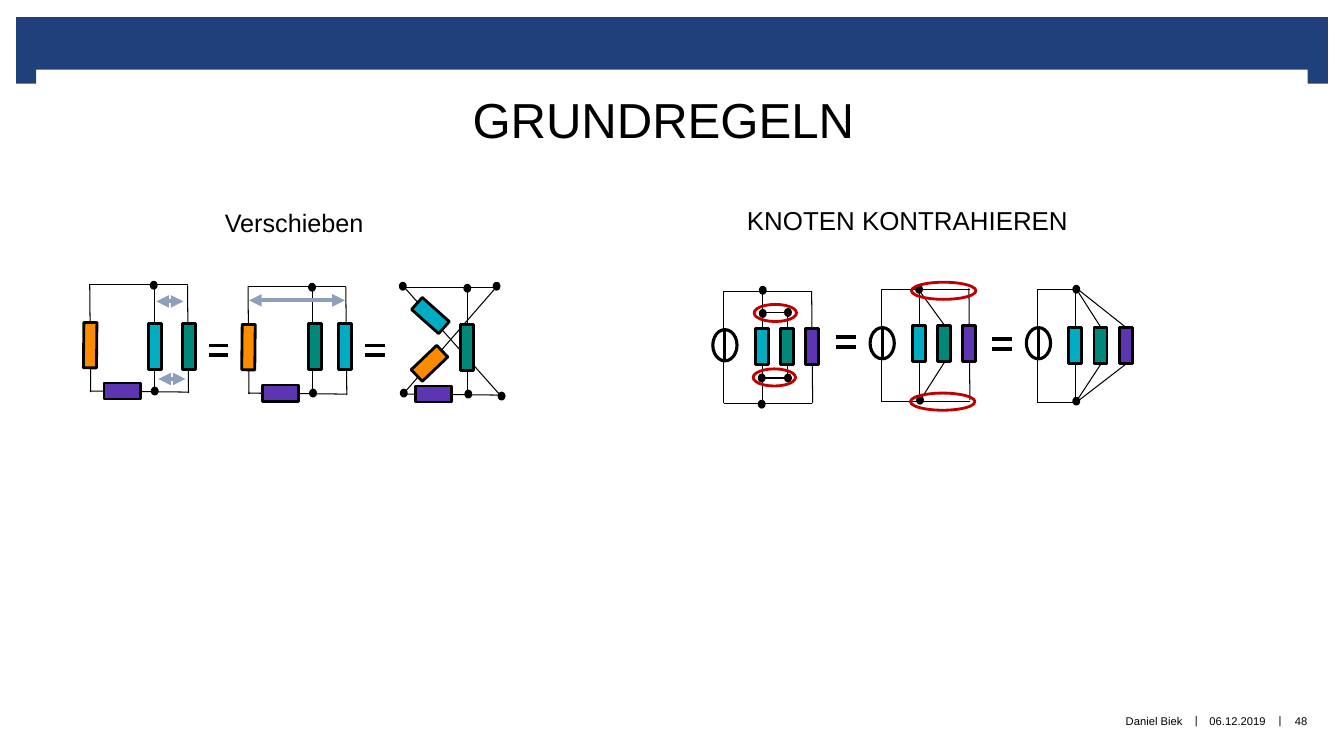
from lxml import etree
from pptx import Presentation
from pptx import util as u
from pptx.dml.color import RGBColor
from pptx.enum import shapes, text
from pptx.oxml.ns import qn

BLACK, NAVY, RED, GREY_BLUE = "000000", "1F407A", "C00000", "8E9FBB"
ORANGE, CYAN, GREEN, PURPLE = "FB8C00", "00ACC1", "00897B", "5E35B1"
PRESET = shapes.MSO_SHAPE
ALIGN, ANCHOR = text.PP_ALIGN, text.MSO_ANCHOR


def rgb(value):
    return RGBColor.from_string(value)


def add_shape(slide, preset, box, fill=None, outline=None, weight=2, turn=0):
    part = slide.shapes.add_shape(preset, *map(u.Inches, box))
    part.shadow.inherit = False
    part.rotation = turn
    if fill:
        part.fill.solid()
        part.fill.fore_color.rgb = rgb(fill)
    else:
        part.fill.background()
    if outline:
        part.line.color.rgb = rgb(outline)
        part.line.width = u.Pt(weight)
    else:
        part.line.fill.background()


def add_text(slide, words, box, size=8, align=ALIGN.CENTER, anchor=ANCHOR.MIDDLE,
             insets=(0, 0, 0, 0), wrap=False, before=0, spacing=1.0):
    label = slide.shapes.add_textbox(*map(u.Inches, box))
    frame = label.text_frame
    frame.word_wrap = wrap
    frame.vertical_anchor = anchor
    (frame.margin_left, frame.margin_top,
     frame.margin_right, frame.margin_bottom) = map(u.Inches, insets)
    line = frame.paragraphs[0]
    line.alignment = align
    line.line_spacing = spacing
    line.space_before = u.Pt(before)
    run = line.add_run()
    run.text = words
    run.font.size = u.Pt(size)
    run.font.name = "Arial"
    run.font.color.rgb = rgb(BLACK)


def add_wire(slide, x1, y1, x2, y2, color=BLACK, weight=0.75, arrows=False):
    wire = slide.shapes.add_connector(
        shapes.MSO_CONNECTOR.STRAIGHT, *map(u.Inches, (x1, y1, x2, y2)))
    wire.line.color.rgb = rgb(color)
    wire.line.width = u.Pt(weight)
    if arrows:
        outline = wire.line._get_or_add_ln()
        for end in ("a:headEnd", "a:tailEnd"):
            etree.SubElement(outline, qn(end), type="triangle")
    etree.SubElement(wire._element.spPr, qn("a:effectLst"))


def add_resistor(slide, x, y, color, width=0.13, height=0.46, turn=0):
    add_shape(slide, PRESET.RECTANGLE, (x, y, width, height), color, BLACK, turn=turn)


def add_node(slide, x, y):
    add_shape(slide, PRESET.OVAL, (x, y, 0.05, 0.06), BLACK, BLACK)


def add_equals(slide, x, y, width=0.31, height=0.28):
    add_shape(slide, PRESET.MATH_EQUAL, (x, y, width, height), BLACK, "FFFFFF")


def add_mark(slide, x, y, width):
    add_shape(slide, PRESET.OVAL, (x, y, width, 0.17), outline=RED)


def add_swap_arrow(slide, x1, x2, y):
    add_wire(slide, x1, y, x2, y, GREY_BLUE, 3, arrows=True)


def add_mesh(slide, left, top, branches):
    """Rectangular circuit; branches are (x, colour) of the parallel resistors."""
    bottom = top + 1.06
    add_wire(slide, left + 0.01, bottom + 0.01, left, top)
    add_wire(slide, left + 0.98, bottom + 0.02, left + 0.97, top + 0.01)
    add_wire(slide, left + 0.64, bottom + 0.03, left + 0.64, top + 0.01)
    add_wire(slide, left + 0.97, top, left, top)
    add_wire(slide, left, bottom, left + 0.98, bottom + 0.01)
    add_resistor(slide, left - 0.06, top + 0.38, ORANGE, height=0.45, turn=0.6)
    for x, color in branches:
        add_resistor(slide, x, 3.21, color)
    add_resistor(slide, left + 0.24, top + 0.88, PURPLE, 0.16, 0.36, turn=90)
    add_node(slide, left + 0.61, top - 0.02)
    add_node(slide, left + 0.62, top + 1.03)


def add_crossed_circuit(slide):
    for wire in ((3.99, 3.92, 4.93, 2.84), (4.97, 3.93, 4.01, 2.85),
                 (4.64, 3.94, 4.64, 2.86), (4.95, 2.85, 3.99, 2.85),
                 (3.99, 3.91, 4.98, 3.92)):
        add_wire(slide, *wire)
    add_resistor(slide, 4.18, 3.43, ORANGE, 0.16, 0.35, turn=46.3)
    add_resistor(slide, 4.19, 2.95, CYAN, 0.16, 0.36, turn=311.7)
    add_resistor(slide, 4.57, 3.22, GREEN)
    add_resistor(slide, 4.22, 3.73, PURPLE, 0.16, 0.36, turn=90)
    for x, y in ((4.61, 2.83), (4.62, 3.88), (3.97, 2.81),
                 (4.9, 2.81), (3.98, 3.87), (4.95, 3.9)):
        add_node(slide, x, y)


def add_source_circuit(slide, left, top, bottom, reach, resistor_y, source_y, links, nodes):
    """Source and three resistors; reach is the length of the outer wires."""
    middle = left + 0.38
    add_wire(slide, left, bottom, left, top)
    add_wire(slide, middle, bottom, middle, top)
    for y in (top, bottom):
        add_wire(slide, left, y, left + reach, y)
    for link in links:
        add_wire(slide, *link)
    for i, color in enumerate((CYAN, GREEN, PURPLE)):
        add_resistor(slide, left + 0.31 + 0.25 * i, resistor_y, color, height=0.36)
    for x, y in nodes:
        add_node(slide, x, y)
    add_shape(slide, PRESET.OVAL, (left - 0.11, source_y, 0.24, 0.31),
              outline=BLACK, weight=2.25)
    add_wire(slide, left + 0.01, source_y + 0.31, left + 0.01, source_y, weight=2.25)


def add_frame(slide):
    # Header band with its two feet
    for box in ((0.16, 0.17, 13.01, 0.52), (0.16, 0.65, 0.2, 0.18),
                (12.97, 0.65, 0.2, 0.18)):
        add_shape(slide, PRESET.RECTANGLE, box, NAVY)
    # Footer
    for x in (11.79, 12.62):
        add_text(slide, "|", (x, 6.89, 0.15, 0.51), insets=(0.04, 0.05, 0.04, 0.05))
    add_text(slide, "Daniel Biek", (6.66, 6.9, 5.07, 0.5), align=ALIGN.RIGHT)
    add_text(slide, "06.12.2019", (11.94, 6.9, 0.67, 0.51))
    add_text(slide, "48", (12.71, 6.9, 0.39, 0.51))


def add_headings(slide):
    normal = (0.1, 0.05, 0.1, 0.05)
    add_text(slide, "GRUNDREGELN", (0.83, 0.92, 11.5, 0.62), size=35.1,
             insets=normal, wrap=True, spacing=0.8)
    add_text(slide, "Verschieben", (2.07, 1.92, 2.13, 0.56), size=18, align=ALIGN.LEFT,
             anchor=ANCHOR.BOTTOM, insets=(0.16, 0, 0.16, 0.12), wrap=True, before=5)
    add_text(slide, "KNOTEN KONTRAHIEREN", (7.31, 1.92, 3.52, 0.56), size=18.5,
             align=ALIGN.LEFT, anchor=ANCHOR.TOP, insets=normal, wrap=True,
             before=10, spacing=1.2)


def add_shifting(slide):
    for x in (2.02, 3.57):
        add_equals(slide, x, 3.34, 0.3, 0.27)
    add_mesh(slide, 0.89, 2.82, ((1.47, CYAN), (1.81, GREEN)))
    add_mesh(slide, 2.46, 2.84, ((3.36, CYAN), (3.06, GREEN)))
    add_crossed_circuit(slide)
    for x1, x2, y in ((1.55, 1.82, 2.99), (1.57, 1.84, 3.76), (2.47, 3.42, 2.98)):
        add_swap_arrow(slide, x1, x2, y)


def add_contracting(slide):
    add_equals(slide, 8.24, 3.25)
    add_equals(slide, 9.78, 3.27)
    # Separate nodes
    add_source_circuit(
        slide, 7.18, 2.89, 4, 0.87, 3.26, 3.27,
        links=((8.06, 4, 8.05, 2.89), (7.8, 3.75, 7.56, 3.75),
               (7.8, 3.1, 7.56, 3.1), (7.81, 3.73, 7.81, 3.13)),
        nodes=((7.54, 2.85), (7.53, 3.98), (7.54, 3.08),
               (7.79, 3.07), (7.53, 3.72), (7.79, 3.72)))
    # Inner nodes merged
    add_source_circuit(
        slide, 8.74, 2.87, 3.98, 0.88, 3.23, 3.25,
        links=((9.62, 3.97, 9.61, 2.86), (9.37, 3.59, 9.14, 3.95),
               (9.37, 3.23, 9.13, 2.9)),
        nodes=((9.09, 2.84), (9.1, 3.94)))
    # All nodes merged
    add_source_circuit(
        slide, 10.29, 2.87, 3.99, 0.36, 3.25, 3.25,
        links=((11.17, 3.61, 10.69, 3.98), (10.92, 3.61, 10.69, 3.96),
               (10.92, 3.25, 10.69, 2.89), (11.17, 3.25, 10.69, 2.87)),
        nodes=((10.65, 2.84), (10.65, 3.95)))
    # Nodes to contract
    for x, y, width in ((7.48, 3.02, 0.42), (7.47, 3.66, 0.42),
                        (9.03, 3.9, 0.64), (9.04, 2.8, 0.64)):
        add_mark(slide, x, y, width)


def main():
    deck = Presentation()
    deck.slide_width, deck.slide_height = u.Inches(13.33), u.Inches(7.5)
    slide = deck.slides.add_slide(deck.slide_layouts[6])
    add_frame(slide)
    add_headings(slide)
    add_shifting(slide)
    add_contracting(slide)
    deck.save("out.pptx")


if __name__ == "__main__":
    main()
